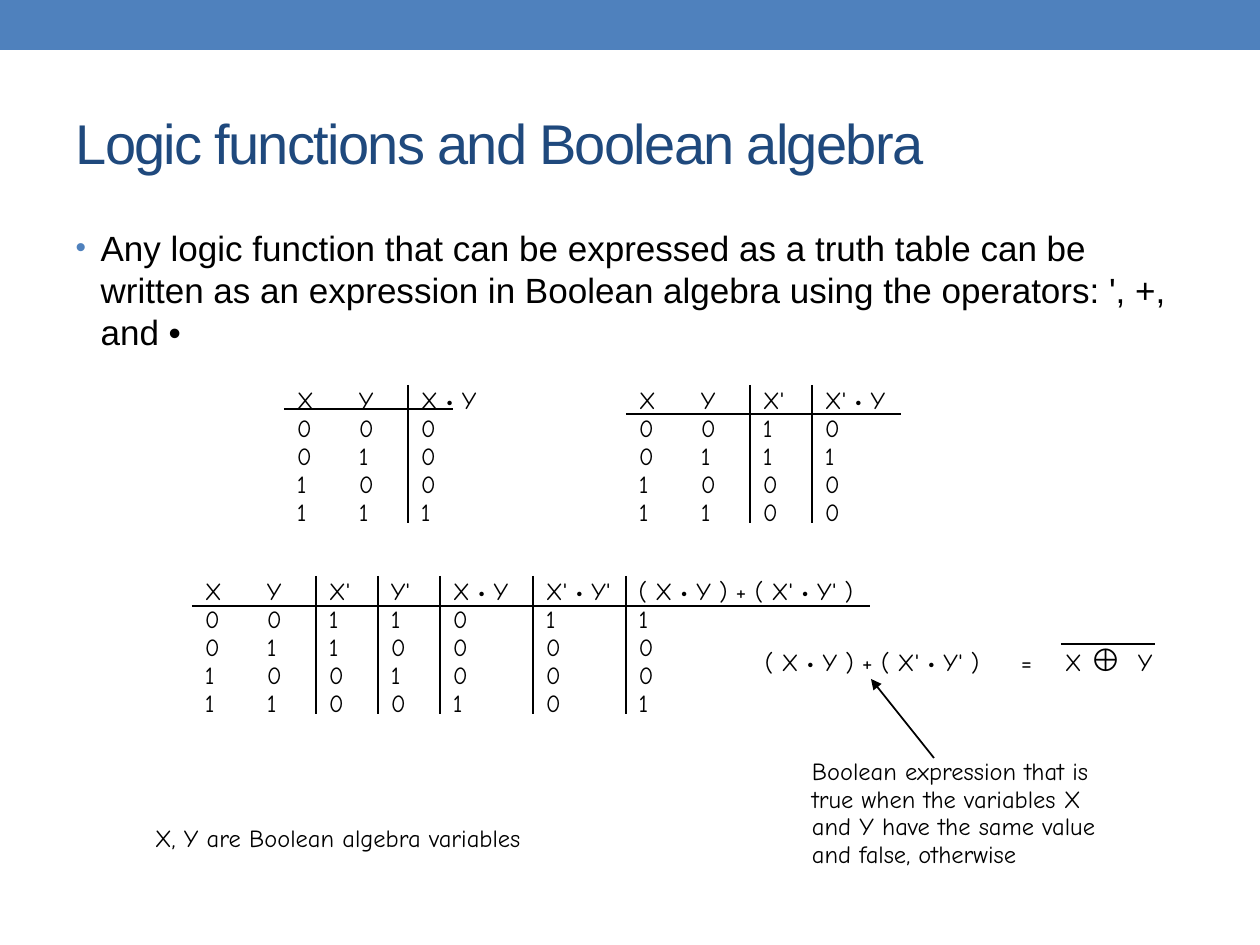
from itertools import accumulate
from lxml import etree
from pptx import Presentation, util as u
from pptx.dml.color import RGBColor
from pptx.enum import shapes, text
from pptx.oxml.ns import qn

BLUE = RGBColor(0x4F, 0x81, 0xBD)
NAVY = RGBColor(0x1F, 0x49, 0x7D)
BLACK = RGBColor(0, 0, 0)
HAND, SANS = "Comic Neue", "Arial"
NO_STYLE = "{2D5ABB26-0587-4C30-8999-92F81FD0307C}"

TITLE = "Logic functions and Boolean algebra"
BODY = ("Any logic function that can be expressed as a truth table can be written "
        "as an expression in Boolean algebra using the operators: ', +, and •")
NARROW, MEDIUM = 62, 93
TRUTH_TABLES = [
    {"left": 284, "top": 385, "widths": [NARROW] * 2 + [80], "rule": (409, 453),
     "rows": ["X|Y|X • Y", "0|0|0", "0|1|0", "1|0|0", "1|1|1"]},
    {"left": 626, "top": 385, "widths": [NARROW] * 3 + [89], "rule": (414, 901),
     "rows": ["X|Y|X'|X' • Y", "0|0|1|0", "0|1|1|1", "1|0|0|0", "1|1|0|0"]},
    {"left": 192, "top": 576, "widths": [NARROW] * 4 + [MEDIUM] * 2 + [244], "rule": (606, 870),
     "rows": ["X|Y|X'|Y'|X • Y|X' • Y'|( X • Y ) + ( X' • Y' )",
              "0|0|1|1|0|1|1", "0|1|1|0|0|0|0", "1|0|0|1|0|0|0", "1|1|0|0|1|0|1"]},
]
ROW_HEIGHT, DIVIDER_HEIGHT, INPUT_COLUMNS = 28, 138, 2
VARIABLES_NOTE = "X, Y are Boolean algebra variables"
EQUATION = ["( X • Y ) + ( X' • Y' )\t=\tX\t", "⊕", "\tY"]
EQUATION_TABS = [256, 300, 325, 373]
EXPRESSION_NOTE = ("Boolean expression that is\vtrue when the variables X\v"
                   "and Y have the same value\vand false, otherwise")


def px(n):
    return u.Emu(round(n * 914400 / 126))


def style(font, size, name, color):
    font.size, font.name = u.Pt(size), name
    font.color.rgb = color


def hand_write(paragraph):
    paragraph.line_spacing = u.Pt(15.8)
    for run in paragraph.runs:
        style(run.font, 14, HAND, BLACK)


def add_line(x1, y1, x2, y2, weight=1):
    line = slide.shapes.add_connector(shapes.MSO_CONNECTOR.STRAIGHT, *map(px, (x1, y1, x2, y2)))
    line.line.color.rgb = BLACK
    line.line.width = u.Pt(weight)
    etree.SubElement(line._element.spPr, qn("a:effectLst"))
    return line


def add_truth_table(left, top, widths, rule, rows):
    box = left, top + 3, sum(widths), ROW_HEIGHT * len(rows)
    grid = slide.shapes.add_table(len(rows), len(widths), *map(px, box)).table
    grid.first_row = grid.horz_banding = False
    grid._tbl.tblPr.find(qn("a:tableStyleId")).text = NO_STYLE
    for column, width in zip(grid.columns, widths):
        column.width = px(width)
    for r, row in enumerate(rows):
        grid.rows[r].height = px(ROW_HEIGHT)
        for c, value in enumerate(row.split("|")):
            cell = grid.cell(r, c)
            cell.margin_left = px(13)
            cell.margin_top = cell.margin_right = cell.margin_bottom = 0
            cell.fill.background()
            cell.text = value
            hand_write(cell.text_frame.paragraphs[0])
    rule_y, rule_end = rule
    add_line(left, rule_y, rule_end, rule_y)
    edges = list(accumulate(widths, initial=left))
    for x in edges[INPUT_COLUMNS:-1]:
        add_line(x, top, x, top + DIVIDER_HEIGHT)


def add_note(content, *box):
    frame = slide.shapes.add_textbox(*map(px, box)).text_frame
    frame.word_wrap = False
    frame.margin_left = frame.margin_right = px(3)
    frame.margin_top = frame.margin_bottom = px(4)
    note = frame.paragraphs[0]
    note.text = content
    hand_write(note)
    return note


def fill_placeholder(holder, content, anchor, *box):
    holder.left, holder.top, holder.width, holder.height = map(px, box)
    frame = holder.text_frame
    frame.text = content
    frame.auto_size = text.MSO_AUTO_SIZE.NONE
    frame.vertical_anchor = anchor
    paragraph = frame.paragraphs[0]
    paragraph.alignment = text.PP_ALIGN.LEFT
    paragraph.space_before = u.Pt(0)
    return paragraph


deck = Presentation()
deck.slide_width, deck.slide_height = px(1260), px(945)
slide = deck.slides.add_slide(deck.slide_layouts[1])

banner = slide.shapes.add_shape(shapes.MSO_SHAPE.RECTANGLE, 0, 0, px(1260), px(50))
banner.shadow.inherit = False
banner.fill.solid()
banner.fill.fore_color.rgb = BLUE
banner.line.fill.background()

title = fill_placeholder(slide.shapes.title, TITLE, text.MSO_ANCHOR.MIDDLE, 63, 74, 1134, 136)
style(title.runs[0].font, 32, SANS, NAVY)
title.runs[0].font._element.set("spc", "-100")

body = fill_placeholder(slide.placeholders[1], BODY, text.MSO_ANCHOR.TOP, 63, 220, 1134, 164)
body_format = body._p.get_or_add_pPr()
body_format.set("marL", str(px(25)))
body_format.set("indent", str(-px(25)))
bullet_color = etree.SubElement(body_format, qn("a:buClr"))
etree.SubElement(bullet_color, qn("a:srgbClr"), val=str(BLUE))
etree.SubElement(body_format, qn("a:buSzPct"), val="85000")
etree.SubElement(body_format, qn("a:buFont"), typeface=SANS)
etree.SubElement(body_format, qn("a:buChar"), char="•")
style(body.runs[0].font, 20, SANS, BLACK)

for truth_table in TRUTH_TABLES:
    add_truth_table(**truth_table)

add_note(VARIABLES_NOTE, 152, 821, 454, 45)
add_note(EXPRESSION_NOTE, 809, 754, 358, 129)

equation = add_note("", 762, 646, 400, 44)
tab_stops = etree.SubElement(equation._p.get_or_add_pPr(), qn("a:tabLst"))
for stop in EQUATION_TABS:
    etree.SubElement(tab_stops, qn("a:tab"), pos=str(px(stop)), algn="l")
for part in EQUATION:
    equation.add_run().text = part
hand_write(equation)
style(equation.runs[1].font, 18, SANS, BLACK)
add_line(1061, 644, 1155, 644, 0.75)

pointer = add_line(934, 758, 871, 679)
etree.SubElement(pointer.line._get_or_add_ln(), qn("a:tailEnd"), type="triangle")

deck.save("out.pptx")
